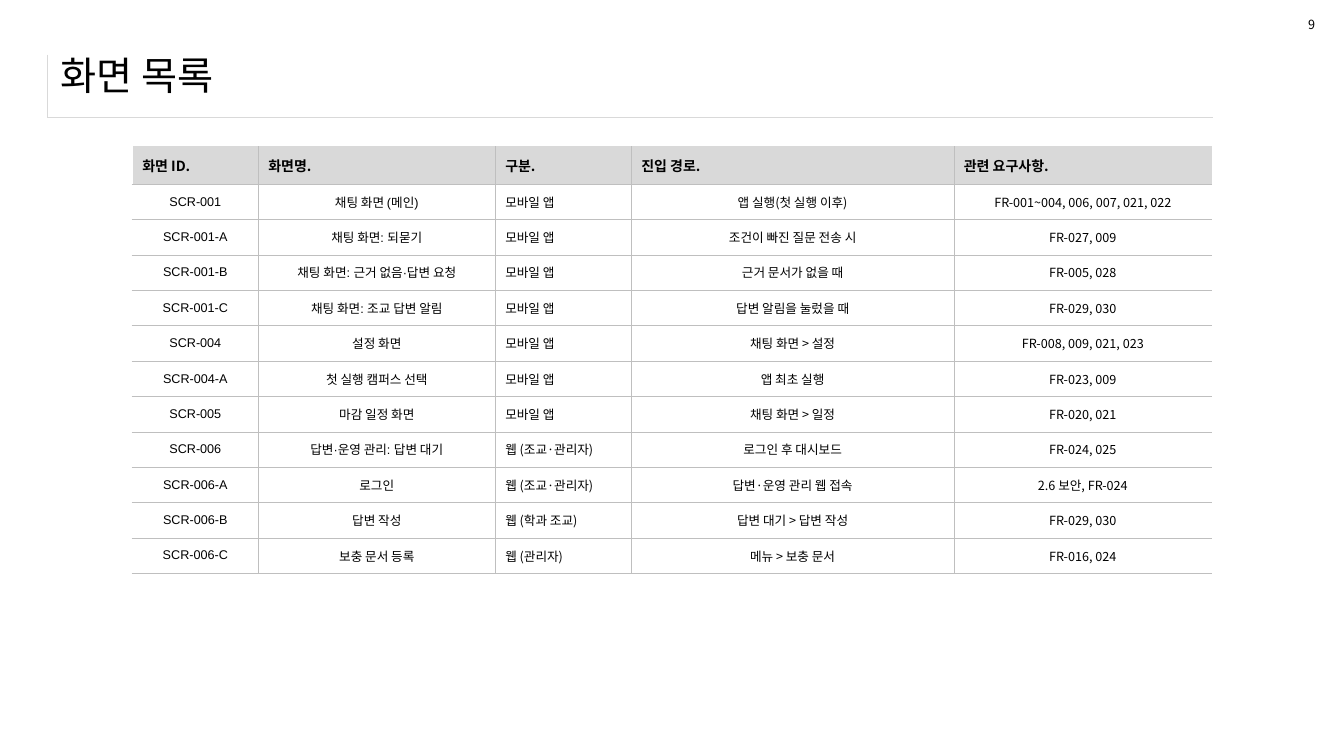
from lxml import etree
from pptx import Presentation
from pptx import util as u
from pptx.dml.color import RGBColor
from pptx.enum import text
from pptx.oxml import ns

COLORS = {"ink": "000000", "white": "FFFFFF", "head": "D9D9D9", "grid": "BFBFBF"}
CJK = "Noto Sans CJK KR"
LEFT, CENTER = text.PP_ALIGN.LEFT, text.PP_ALIGN.CENTER

COLUMNS = [
    ("화면 ID.", 90, CENTER, "Arial"),
    ("화면명.", 169.2, CENTER, "Arial"),
    ("구분.", 97.2, LEFT, CJK),
    ("진입 경로.", 230.4, CENTER, CJK),
    ("관련 요구사항.", 184.3, CENTER, CJK),
]
SCREENS = [
    ("SCR-001", "채팅 화면 (메인)", "모바일 앱", "앱 실행(첫 실행 이후)", "FR-001~004, 006, 007, 021, 022"),
    ("SCR-001-A", "채팅 화면: 되묻기", "모바일 앱", "조건이 빠진 질문 전송 시", "FR-027, 009"),
    ("SCR-001-B", "채팅 화면: 근거 없음·답변 요청", "모바일 앱", "근거 문서가 없을 때", "FR-005, 028"),
    ("SCR-001-C", "채팅 화면: 조교 답변 알림", "모바일 앱", "답변 알림을 눌렀을 때", "FR-029, 030"),
    ("SCR-004", "설정 화면", "모바일 앱", "채팅 화면 > 설정", "FR-008, 009, 021, 023"),
    ("SCR-004-A", "첫 실행 캠퍼스 선택", "모바일 앱", "앱 최초 실행", "FR-023, 009"),
    ("SCR-005", "마감 일정 화면", "모바일 앱", "채팅 화면 > 일정", "FR-020, 021"),
    ("SCR-006", "답변·운영 관리: 답변 대기", "웹 (조교·관리자)", "로그인 후 대시보드", "FR-024, 025"),
    ("SCR-006-A", "로그인", "웹 (조교·관리자)", "답변·운영 관리 웹 접속", "2.6 보안, FR-024"),
    ("SCR-006-B", "답변 작성", "웹 (학과 조교)", "답변 대기 > 답변 작성", "FR-029, 030"),
    ("SCR-006-C", "보충 문서 등록", "웹 (관리자)", "메뉴 > 보충 문서", "FR-016, 024"),
]


def write(tf, words, size=9, font=CJK, bold=False, align=LEFT, color="ink"):
    p = tf.paragraphs[0]
    p.alignment = align
    r = p.add_run()
    r.text = words
    r.font.size, r.font.name, r.font.bold = u.Pt(size), font, bold
    r.font.color.rgb = RGBColor.from_string(COLORS[color])
    ea = etree.SubElement(r.font._element, ns.qn("a:ea"))
    ea.set("typeface", CJK)


class ScreenListSlide:
    """Draws the parts of the screen list on one slide."""

    def __init__(self, prs):
        self.s = prs.slides.add_slide(prs.slide_layouts[5])

    def title(self, words, x, y, w, h):
        sp = self.s.shapes.title
        sp.left, sp.top, sp.width, sp.height = map(u.Pt, (x, y, w, h))
        tf = sp.text_frame
        tf.vertical_anchor = text.MSO_ANCHOR.MIDDLE
        tf.auto_size = text.MSO_AUTO_SIZE.NONE
        write(tf, words, size=28)

    def label(self, words, x, y, w, h):
        sp = self.s.shapes.add_textbox(*map(u.Pt, (x, y, w, h)))
        tf = sp.text_frame
        tf.word_wrap = False
        tf.auto_size = text.MSO_AUTO_SIZE.SHAPE_TO_FIT_TEXT
        write(tf, words)

    def table(self, x, y, widths, heights):
        box = map(u.Pt, (x, y, sum(widths), sum(heights)))
        table = self.s.shapes.add_table(len(heights), len(widths), *box).table
        table.first_row = table.horz_banding = False
        for column, width in zip(table.columns, widths):
            column.width = u.Pt(width)
        for row, height in zip(table.rows, heights):
            row.height = u.Pt(height)
        return table

    def cell(self, cell, fill=None, **sides):
        cell.vertical_anchor = text.MSO_ANCHOR.MIDDLE
        if fill:
            cell.fill.solid()
            cell.fill.fore_color.rgb = RGBColor.from_string(COLORS[fill])
        else:
            cell.fill.background()
        props = cell._tc.get_or_add_tcPr()
        for i, side in enumerate("LRTB"):
            ln = etree.Element(ns.qn(f"a:ln{side}"))
            color, width = sides.get(side) or (None, 0)
            ln.set("w", str(u.Pt(width)))
            if color:
                solid = etree.SubElement(ln, ns.qn("a:solidFill"))
                etree.SubElement(solid, ns.qn("a:srgbClr")).set("val", COLORS[color])
            else:
                etree.SubElement(ln, ns.qn("a:noFill"))
            props.insert(i, ln)

    def title_rule(self, x, y, w, h):
        line = ("head", 0.25)
        self.cell(self.table(x, y, [w], [h]).cell(0, 0), L=line, B=line)

    def screen_list(self, x, y):
        heights = [27] + [25.3] * len(SCREENS)
        table = self.table(x, y, [width for _, width, _, _ in COLUMNS], heights)
        grid, edge = ("grid", 0.25), ("white", 1)
        for c, (heading, _, align, font) in enumerate(COLUMNS):
            last = c == len(COLUMNS) - 1
            sides = {"L": grid if c else edge, "R": None if last else grid, "B": grid}
            head = table.cell(0, c)
            self.cell(head, fill="head", **sides)
            write(head.text_frame, heading, size=10, bold=True)
            for r, screen in enumerate(SCREENS, 1):
                cell = table.cell(r, c)
                self.cell(cell, T=grid, **sides)
                write(cell.text_frame, screen[c], font=font, align=align)


def main():
    prs = Presentation()
    prs.slide_width, prs.slide_height = u.Pt(960), u.Pt(540)
    slide = ScreenListSlide(prs)
    slide.title_rule(34, 39, 832.3, 45)
    slide.title("화면 목록", 36, 29.5, 899.3, 48.2)
    slide.label("9", 927.4, 8.6, 19.4, 18)
    slide.screen_list(94.5, 104.4)
    prs.save("out.pptx")


if __name__ == "__main__":
    main()
